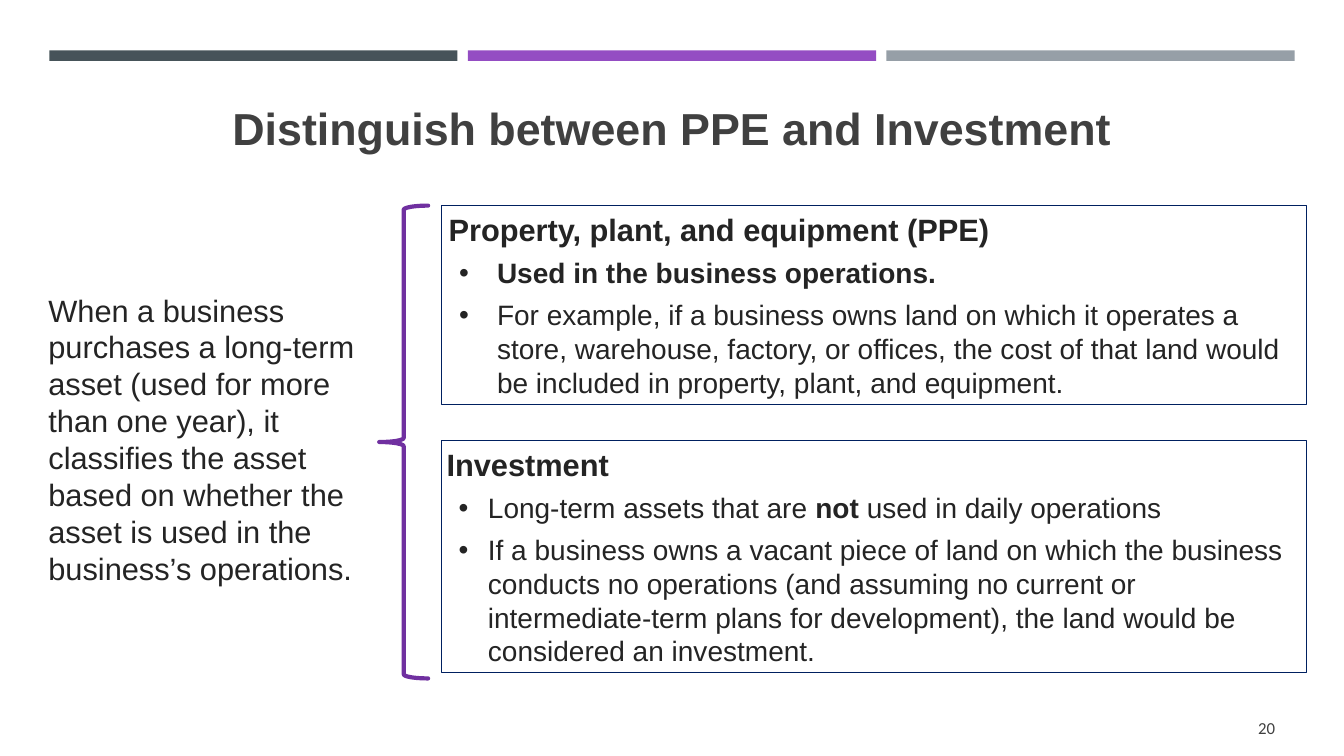
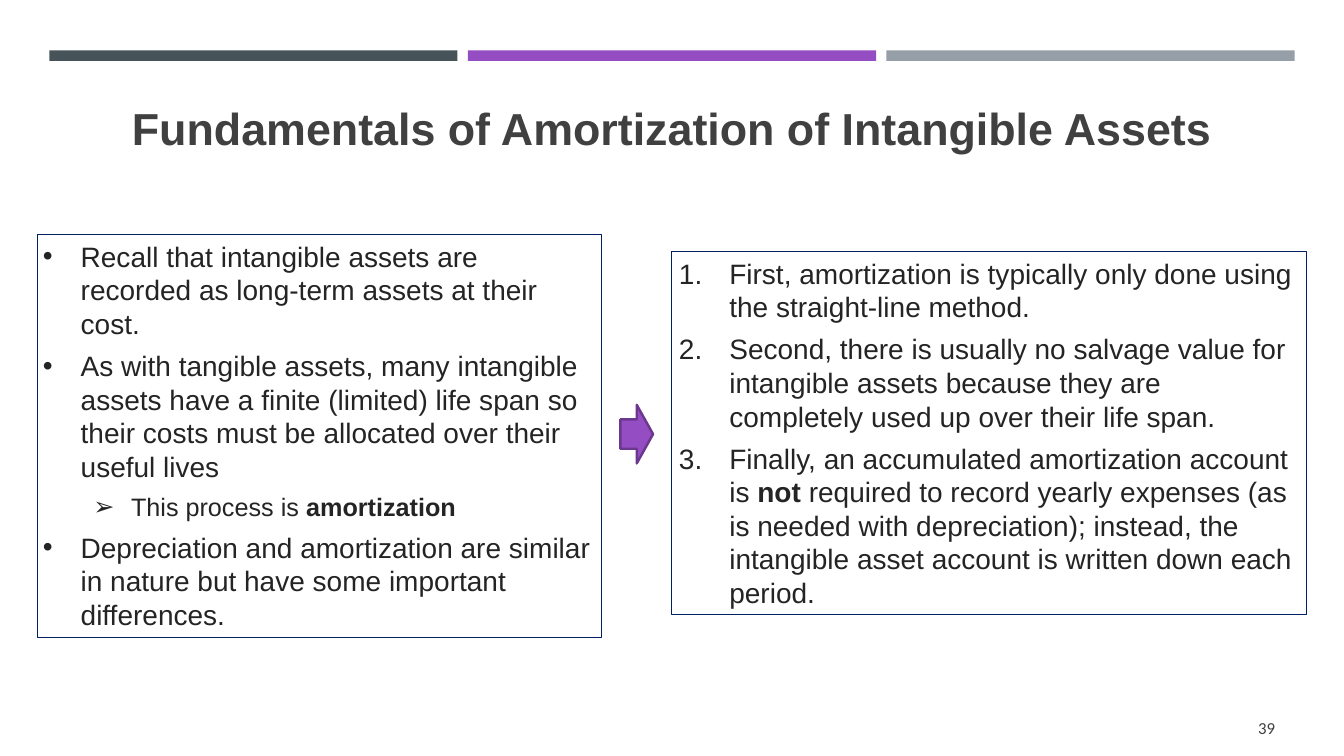
from pptx import Presentation
from pptx import util as u
from pptx.dml.color import RGBColor
from pptx.enum import shapes, text
from pptx.oxml import ns
from lxml import etree

Pt = u.Pt
SHAPE = shapes.MSO_SHAPE
ALIGN = text.PP_ALIGN
ANCHOR = text.MSO_ANCHOR


def rgb(value):
    return RGBColor.from_string(value)


def item(content, **fmt):
    """One paragraph and its own format; **marks** switch bold on and off."""
    return content, fmt


def set_bullet(paragraph, bullet):
    """Number the paragraph for "1.", otherwise use the given character."""
    properties = paragraph._p.get_or_add_pPr()
    if bullet == "1.":
        etree.SubElement(properties, ns.qn("a:buAutoNum"), type="arabicPeriod")
    else:
        etree.SubElement(properties, ns.qn("a:buFont"), typeface="Arial")
        etree.SubElement(properties, ns.qn("a:buChar"), char=bullet)


def write(paragraph, content, size=20, color="242424", font="Arial", bold=False,
          align=ALIGN.LEFT, before=6, margin=0, indent=0, bullet=None, level=0):
    paragraph.alignment = align
    paragraph.level = level
    paragraph.line_spacing = 1.0
    paragraph.space_before = Pt(before)
    properties = paragraph._p.get_or_add_pPr()
    properties.set("marL", str(Pt(margin)))
    properties.set("indent", str(Pt(indent)))
    if bullet:
        set_bullet(paragraph, bullet)
    for index, part in enumerate(content.split("**")):
        if part:
            run = paragraph.add_run()
            run.text = part
            run.font.name = font
            run.font.size = Pt(size)
            run.font.bold = bold or index % 2 == 1
            run.font.color.rgb = rgb(color)


class Deck:
    WIDTH, HEIGHT = 960, 540
    BAR_COLORS = ("465359", "944DC3", "969FA7")
    BAR_LEFT, BAR_WIDTH, BAR_STEP = 35.2, 291.6, 299
    GRAY, NAVY, PURPLE = "404040", "002060", "944DC3"
    INSET = 3.6

    def __init__(self):
        self.prs = Presentation()
        self.prs.slide_width = Pt(self.WIDTH)
        self.prs.slide_height = Pt(self.HEIGHT)
        self.slide = None

    def new_slide(self, title, number):
        self.slide = self.prs.slides.add_slide(self.prs.slide_layouts[6])
        # Top bands
        for column, color in enumerate(self.BAR_COLORS):
            left = self.BAR_LEFT + column * self.BAR_STEP
            self.shape(SHAPE.RECTANGLE, left, 36, self.BAR_WIDTH, 7.5, fill=color)
        # Title and page number
        self.text_box(46, 44.6, 868.4, 93.6,
                      [item(title, size=32, color=self.GRAY, bold=True,
                            align=ALIGN.CENTER, before=0)],
                      anchor=ANCHOR.MIDDLE)
        self.text_box(892.8, 509.3, 21.6, 20.9,
                      [item(number, size=12, color=self.GRAY, font="Calibri",
                            align=ALIGN.RIGHT, before=0)],
                      anchor=ANCHOR.MIDDLE, wrap=False)

    def shape(self, kind, left, top, width, height, fill=None, line=None, weight=0.75):
        shape = self.slide.shapes.add_shape(kind, Pt(left), Pt(top), Pt(width), Pt(height))
        shape.shadow.inherit = False
        if fill:
            shape.fill.solid()
            shape.fill.fore_color.rgb = rgb(fill)
        else:
            shape.fill.background()
        if line:
            shape.line.color.rgb = rgb(line)
            shape.line.width = Pt(weight)
        else:
            shape.line.fill.background()
        return shape

    def fill_frame(self, frame, items, anchor=ANCHOR.TOP, wrap=True):
        frame.word_wrap = wrap
        frame.vertical_anchor = anchor
        frame.margin_left = frame.margin_right = Pt(self.INSET)
        frame.margin_top = frame.margin_bottom = Pt(self.INSET)
        for index, (content, fmt) in enumerate(items):
            paragraph = frame.add_paragraph() if index else frame.paragraphs[0]
            write(paragraph, content, **fmt)

    def text_box(self, left, top, width, height, items, **options):
        box = self.slide.shapes.add_textbox(Pt(left), Pt(top), Pt(width), Pt(height))
        self.fill_frame(box.text_frame, items, **options)

    def panel(self, left, top, width, height, items):
        panel = self.shape(SHAPE.RECTANGLE, left, top, width, height, line=self.NAVY)
        self.fill_frame(panel.text_frame, items)

    def brace(self, left, top, width, height):
        brace = self.shape(SHAPE.LEFT_BRACE, left, top, width, height,
                           line="7030A0", weight=3)
        brace._element.spPr.find(ns.qn("a:ln")).set("cap", "rnd")

    def arrow(self, left, top, width, height):
        self.shape(SHAPE.RIGHT_ARROW, left, top, width, height,
                   fill=self.PURPLE, line="6C388E", weight=1.75)


def ppe_and_investment(deck):
    deck.new_slide("Distinguish between PPE and Investment", "20")
    panel_left, panel_width, top = 315.4, 617.8, 146.9

    # Investment
    long_term = dict(margin=29.5, indent=-20.9, bullet="•")
    deck.panel(panel_left, 314.6, panel_width, 165.8, [
        item("Investment", size=22, bold=True, margin=29.5, indent=-29.5),
        item("Long-term assets that are **not** used in daily operations", **long_term),
        item("If a business owns a vacant piece of land on which the business conducts "
             "no operations (and assuming no current or intermediate-term plans for "
             "development), the land would be considered an investment.", **long_term),
    ])

    # Classification question
    deck.text_box(31, 204.5, 235.4, 215.3, [
        item("When a business purchases a long-term asset (used for more than one year), "
             "it classifies the asset based on whether the asset is used in the "
             "business’s operations.", size=22),
    ])

    # Property, plant, and equipment
    in_use = dict(margin=36, indent=-27, bullet="•")
    deck.panel(panel_left, top, panel_width, 141.8, [
        item("Property, plant, and equipment (PPE)", size=22, bold=True, indent=1.4),
        item("Used in the business operations.", bold=True, **in_use),
        item("For example, if a business owns land on which it operates a store, "
             "warehouse, factory, or offices, the cost of that land would be included "
             "in property, plant, and equipment.", **in_use),
    ])
    deck.brace(270.9, top, 34.9, 337.7)


def amortization(deck):
    deck.new_slide("Fundamentals of Amortization of Intangible Assets", "39")

    # Recap of intangible assets
    recap = dict(margin=27, indent=-27, bullet="•")
    deck.panel(27, 167.4, 402.5, 287.8, [
        item("Recall that intangible assets are recorded as long-term assets at their "
             "cost.", **recap),
        item("As with tangible assets, many intangible assets have a finite (limited) "
             "life span so their costs must be allocated over their useful lives", **recap),
        item("This process is **amortization**", size=18, margin=63, indent=-27,
             bullet="➢", level=1),
        item("Depreciation and amortization are similar in nature but have some "
             "important differences.", **recap),
    ])

    # Differences from depreciation
    difference = dict(margin=37.4, indent=-36, bullet="1.")
    deck.panel(480, 179.5, 453.2, 259.6, [
        item("First, amortization is typically only done using the straight-line "
             "method.", **difference),
        item("Second, there is usually no salvage value for intangible assets because "
             "they are completely used up over their life span.", **difference),
        item("Finally, an accumulated amortization account is **not** required to record "
             "yearly expenses (as is needed with depreciation); instead, the intangible "
             "asset account is written down each period.", **difference),
    ])
    deck.arrow(443.2, 289.2, 23.3, 41.8)


def main():
    deck = Deck()
    ppe_and_investment(deck)
    amortization(deck)
    deck.prs.save("out.pptx")


if __name__ == "__main__":
    main()
